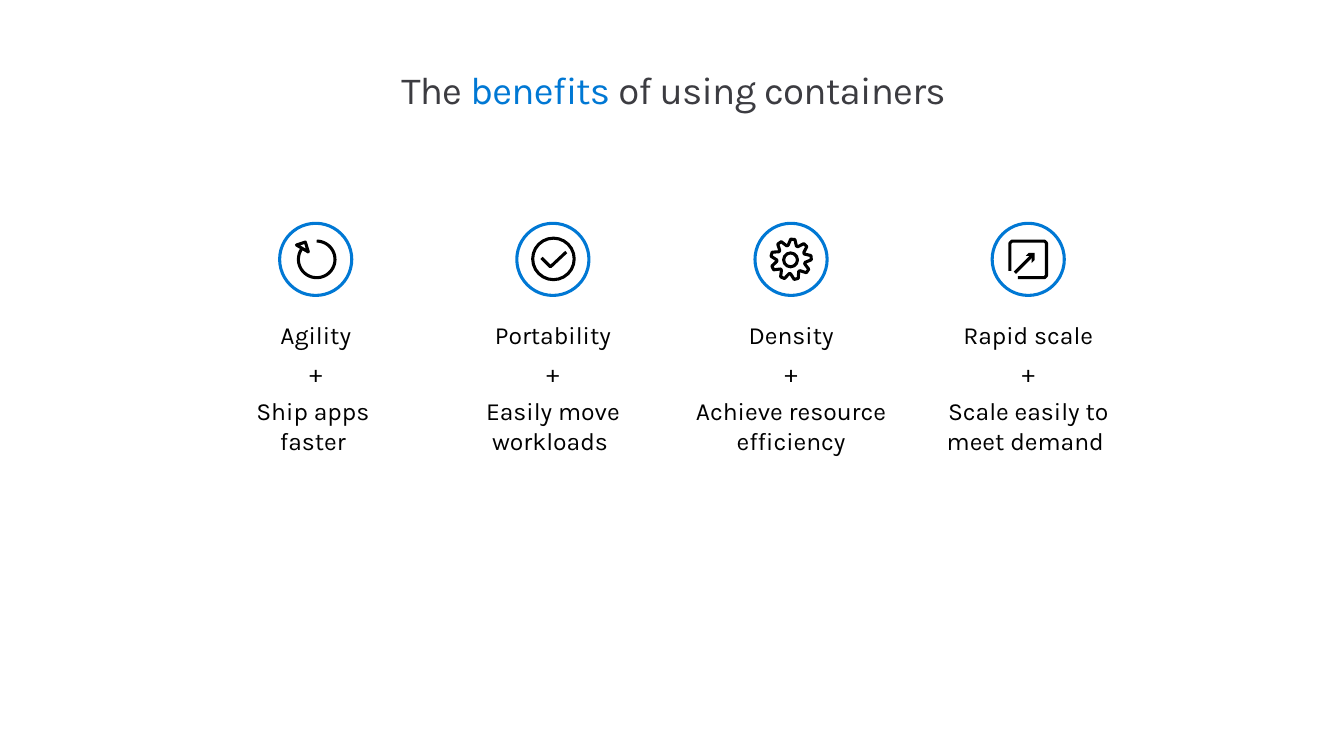
from math import cos, radians, sin
from pptx import Presentation
from pptx.dml.color import RGBColor
from pptx.enum.shapes import MSO_CONNECTOR, MSO_SHAPE
from pptx.enum.text import PP_ALIGN
from pptx.oxml.ns import qn
from pptx.util import Pt
from lxml.etree import SubElement

PX = 9144  # EMU per px, 100 px to the inch
BLACK, BLUE, GREY, WHITE = "000000", "0078D4", "3C3C41", "FFFFFF"


def color(text):
    return RGBColor.from_string(text)


def paint(shape, fill=None, line=BLACK):
    shape.shadow.inherit = False
    if fill:
        shape.fill.solid()
        shape.fill.fore_color.rgb = color(fill)
    else:
        shape.fill.background()
    if line:
        shape.line.color.rgb = color(line)
        shape.line.width = Pt(2.25)
    else:
        shape.line.fill.background()


deck = Presentation()
deck.slide_width, deck.slide_height = 1360 * PX, 765 * PX
slide = deck.slides.add_slide(deck.slide_layouts[6])
shapes = slide.shapes

# Title
box = shapes.add_textbox(51 * PX, 69 * PX, 1261 * PX, 45 * PX)
frame = box.text_frame
frame.word_wrap = True
frame.margin_left = frame.margin_right = frame.margin_top = frame.margin_bottom = 0
para = frame.paragraphs[0]
para.alignment = PP_ALIGN.CENTER
para.line_spacing = Pt(32)
for text, tint in [("The ", GREY), ("benefits", BLUE), (" of using containers", GREY)]:
    run = para.add_run()
    run.text = text
    run.font.name, run.font.size = "Karla", Pt(28)
    run.font.color.rgb = color(tint)
    run.font._element.set("spc", "-50")

# Four benefits: text and blue ring
benefits = [
    ("Agility", ["Ship apps ", "faster "]),
    ("Portability", ["Easily move workloads "]),
    ("Density", ["Achieve resource efficiency"]),
    ("Rapid scale", ["Scale easily to meet demand "]),
]
for col, (name, lines) in enumerate(benefits):
    left = 207 + round(240.4 * col)
    box = shapes.add_textbox(left * PX, 308 * PX, 225 * PX, 170 * PX)
    frame = box.text_frame
    frame.word_wrap = True
    frame.margin_left = frame.margin_right = 16 * PX
    frame.margin_top = frame.margin_bottom = 16 * PX
    for row, parts in enumerate([[name], ["+"], lines]):
        para = frame.add_paragraph() if row else frame.paragraphs[0]
        para.alignment = PP_ALIGN.CENTER
        para.space_after = Pt(6)
        for num, text in enumerate(parts):
            if num:
                para.add_line_break()
            run = para.add_run()
            run.text = text
            run.font.name, run.font.size = "Karla", Pt(18)
            run.font.color.rgb = color(BLACK)
    ring = shapes.add_shape(MSO_SHAPE.OVAL, (left + 76) * PX, 226 * PX, 73 * PX, 73 * PX)
    paint(ring, WHITE, BLUE)

# Circles of the check mark and the gear hub
for left, top, size in [(539, 241, 42), (793, 256, 14)]:
    paint(shapes.add_shape(MSO_SHAPE.OVAL, left * PX, top * PX, size * PX, size * PX))

# Open loop, and gear with nine teeth of four corners each
loop = [(320.5 + 18.5 * cos(radians(a)), 262.5 + 18.5 * sin(radians(a)))
        for a in range(-90, 219, 7)]
corners = [(-17, 14.5), (-6, 20.5), (6, 20.5), (17, 14.5)]
gear = [(800.5 + r * cos(radians(mid + a)), 262.5 + r * sin(radians(mid + a)))
        for mid in range(-5, 355, 40) for a, r in corners]

# Icon outlines: points, closed, fill, line
check = [(573, 255), (557, 270), (548, 261)]
tip = [(300, 248), (309, 245), (312, 255)]
head = [(1044, 266), (1044, 259), (1038, 259), (1041, 256), (1047, 256), (1047, 263)]
frame_pts = [(1030, 281), (1057, 281), (1059, 279), (1059, 246), (1057, 244),
             (1024, 244), (1022, 246), (1022, 274)]
outlines = [
    (loop, False, None, BLACK),
    (tip, True, WHITE, BLACK),
    (check, False, None, BLACK),
    (gear, True, None, BLACK),
    (head, True, BLACK, None),
    (frame_pts, False, None, BLACK),
]
for points, closed, fill, line in outlines:
    first, *rest = [(x * PX, y * PX) for x, y in points]
    pen = shapes.build_freeform(*first)
    pen.add_line_segments(rest, close=closed)
    paint(pen.convert_to_shape(), fill, line)

# Shaft of the scale arrow
shaft = shapes.add_connector(MSO_CONNECTOR.STRAIGHT, 1027 * PX, 276 * PX, 1045 * PX, 258 * PX)
shaft.line.color.rgb = color(BLACK)
shaft.line.width = Pt(2.25)
SubElement(shaft._element.spPr, qn("a:effectLst"))

deck.save("out.pptx")
